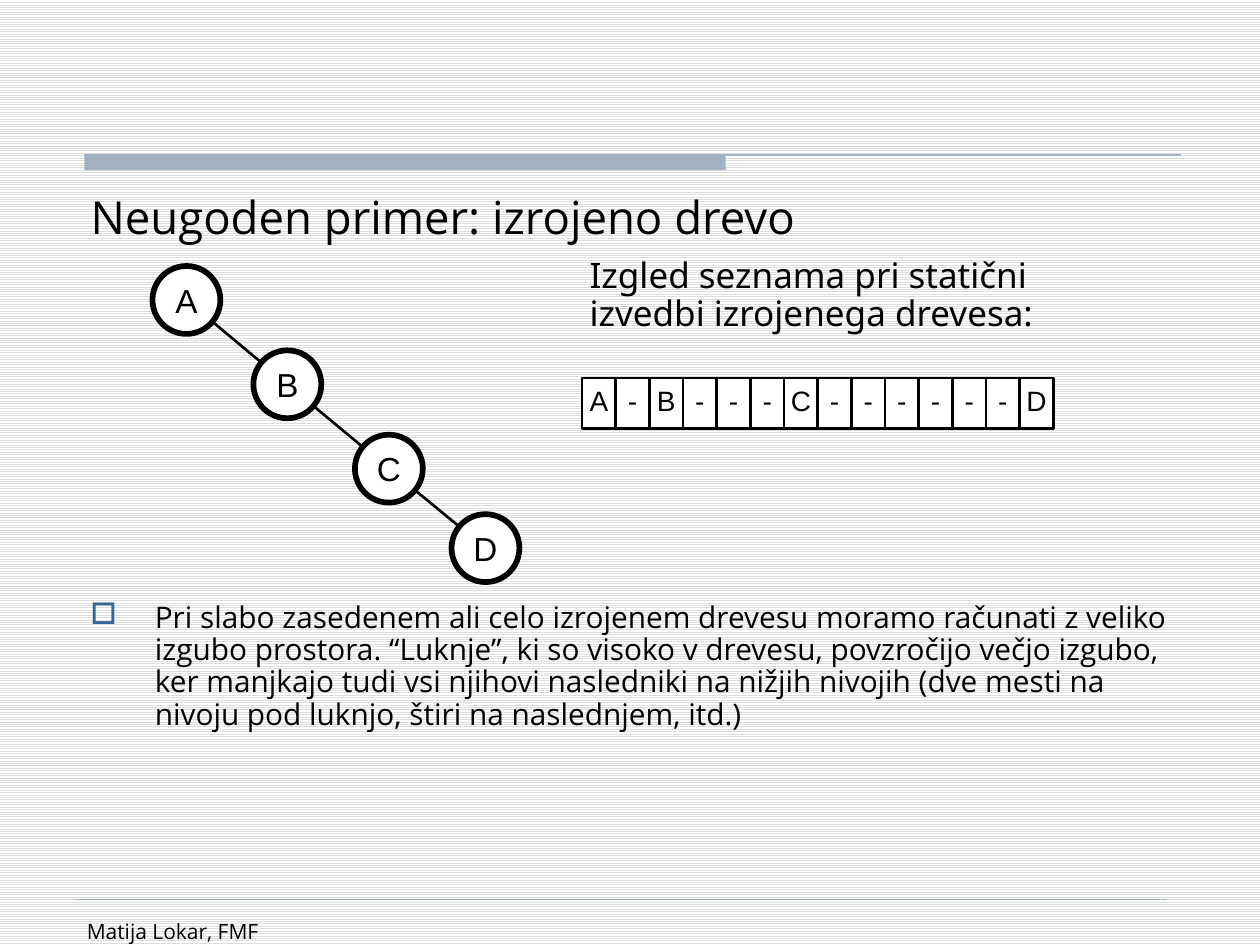
from math import hypot

from lxml import etree
from pptx import Presentation
from pptx.dml.color import RGBColor
from pptx.enum.dml import MSO_PATTERN
from pptx.enum.shapes import MSO_CONNECTOR, MSO_SHAPE
from pptx.enum.text import MSO_ANCHOR, PP_ALIGN
from pptx.oxml.ns import qn
from pptx.util import Pt

LEFT, CENTER = PP_ALIGN.LEFT, PP_ALIGN.CENTER
TOP, MIDDLE = MSO_ANCHOR.TOP, MSO_ANCHOR.MIDDLE
RECT, OVAL = MSO_SHAPE.RECTANGLE, MSO_SHAPE.OVAL
STRAIGHT = MSO_CONNECTOR.STRAIGHT
STRIPES = MSO_PATTERN.LIGHT_HORIZONTAL

# Content
TITLE = "Neugoden primer: izrojeno drevo"
CAPTION = "Izgled seznama pri statični izvedbi izrojenega drevesa:"
BODY = ("Pri slabo zasedenem ali celo izrojenem drevesu moramo računati z veliko "
        "izgubo prostora. “Luknje”, ki so visoko v drevesu, povzročijo večjo izgubo, "
        "ker manjkajo tudi vsi njihovi nasledniki na nižjih nivojih (dve mesti na "
        "nivoju pod luknjo, štiri na naslednjem, itd.)")
FOOTER = "Matija Lokar, FMF"
NODES = [("A", 106.5, 171.4), ("B", 164.2, 219.6), ("C", 222.2, 267.8), ("D", 277.4, 313.2)]
CELLS = "A-B---C------D"

# Geometry and colours
RADIUS = 19.4
FRAME_X, FRAME_Y, FRAME_W, FRAME_H = 332.6, 216, 269.3, 28.8
BLACK, WHITE, ACCENT, BULLET, STRIPE = "000000", "FFFFFF", "A3B2C1", "336699", "DDDDDD"


def rgb(value):
    return RGBColor.from_string(value)


def write(sp, text, size, font="Open Sans", align=LEFT, anchor=TOP, inset=(7.2, 3.6),
          spacing=1.0):
    tf = sp.text_frame
    mx, my = map(Pt, inset)
    frame_format = dict(word_wrap=True, vertical_anchor=anchor, margin_left=mx,
                        margin_right=mx, margin_top=my, margin_bottom=my)
    for name, value in frame_format.items():
        setattr(tf, name, value)
    p = tf.paragraphs[0]
    p.alignment, p.line_spacing = align, spacing
    r = p.add_run()
    r.text = text
    for name, value in dict(size=Pt(size), name=font, bold=False).items():
        setattr(r.font, name, value)
    r.font.color.rgb = rgb(BLACK)
    return p


def add_text(x, y, w, h, text, size, **options):
    sp = s.shapes.add_textbox(Pt(x), Pt(y), Pt(w), Pt(h))
    return write(sp, text, size, **options)


def add_shape(kind, x, y, w, h, fill, line=None, width=0):
    sp = s.shapes.add_shape(kind, Pt(x), Pt(y), Pt(w), Pt(h))
    sp.shadow.inherit = False
    sp.fill.solid()
    sp.fill.fore_color.rgb = rgb(fill)
    if line:
        sp.line.color.rgb = rgb(line)
        sp.line.width = Pt(width)
    else:
        sp.line.fill.background()
    return sp


def add_line(x1, y1, x2, y2, color=BLACK, width=1.5):
    line = s.shapes.add_connector(STRAIGHT, Pt(x1), Pt(y1), Pt(x2), Pt(y2))
    line.line.color.rgb = rgb(color)
    line.line.width = Pt(width)
    etree.SubElement(line._element.spPr, qn("a:effectLst"))


prs = Presentation()
prs.slide_width, prs.slide_height = Pt(720), Pt(540)
s = prs.slides.add_slide(prs.slide_layouts[5])

# Striped background
fill = s.background.fill
fill.patterned()
fill.pattern = STRIPES
fill.fore_color.rgb, fill.back_color.rgb = rgb(STRIPE), rgb(WHITE)

# Header bar, footer rule and footer
add_shape(RECT, 48.2, 88.6, 366.5, 8.6, ACCENT)
add_line(48.2, 88.6, 674.6, 88.6, ACCENT, 0.75)
add_line(42.5, 514, 666.7, 514, ACCENT, 0.25)
add_text(42.5, 521.3, 156, 18.7, FOOTER, 12)

# Title
title = s.shapes.title
for name, value in dict(left=44.6, top=104.5, width=630, height=42).items():
    setattr(title, name, Pt(value))
write(title, TITLE, 26)

# Degenerate tree: edges run from rim to rim
for (_, x1, y1), (_, x2, y2) in zip(NODES, NODES[1:]):
    length = hypot(x2 - x1, y2 - y1)
    dx, dy = (x2 - x1) * RADIUS / length, (y2 - y1) * RADIUS / length
    add_line(x1 + dx, y1 + dy, x2 - dx, y2 - dy)
for label, x, y in NODES:
    node = add_shape(OVAL, x - RADIUS, y - RADIUS, 2 * RADIUS, 2 * RADIUS, WHITE, BLACK, 3.25)
    write(node, label, 19, font="Arial", align=CENTER, anchor=MIDDLE, inset=(0, 0))

# Array of the static implementation
add_text(329.8, 144, 289.4, 55.4, CAPTION, 20, font="Noto Sans", spacing=0.9)
add_shape(RECT, FRAME_X, FRAME_Y, FRAME_W, FRAME_H, WHITE, BLACK, 1.5)
cell_w = FRAME_W / len(CELLS)
for i, label in enumerate(CELLS):
    x = FRAME_X + i * cell_w
    if i:
        add_line(x, FRAME_Y, x, FRAME_Y + FRAME_H)
    add_text(x, FRAME_Y + 3, cell_w, 19.4, label, 16, font="Arial", align=CENTER, inset=(0, 0))

# Bulleted explanation
p = add_text(44.6, 341, 630, 92, BODY, 17, spacing=0.9)
pPr = p._p.get_or_add_pPr()
pPr.set("marL", str(Pt(36.8)))
pPr.set("indent", str(Pt(-36.8)))
color = etree.SubElement(pPr, qn("a:buClr"))
etree.SubElement(color, qn("a:srgbClr"), val=BULLET)
etree.SubElement(pPr, qn("a:buChar"), char="□")

prs.save("out.pptx")
